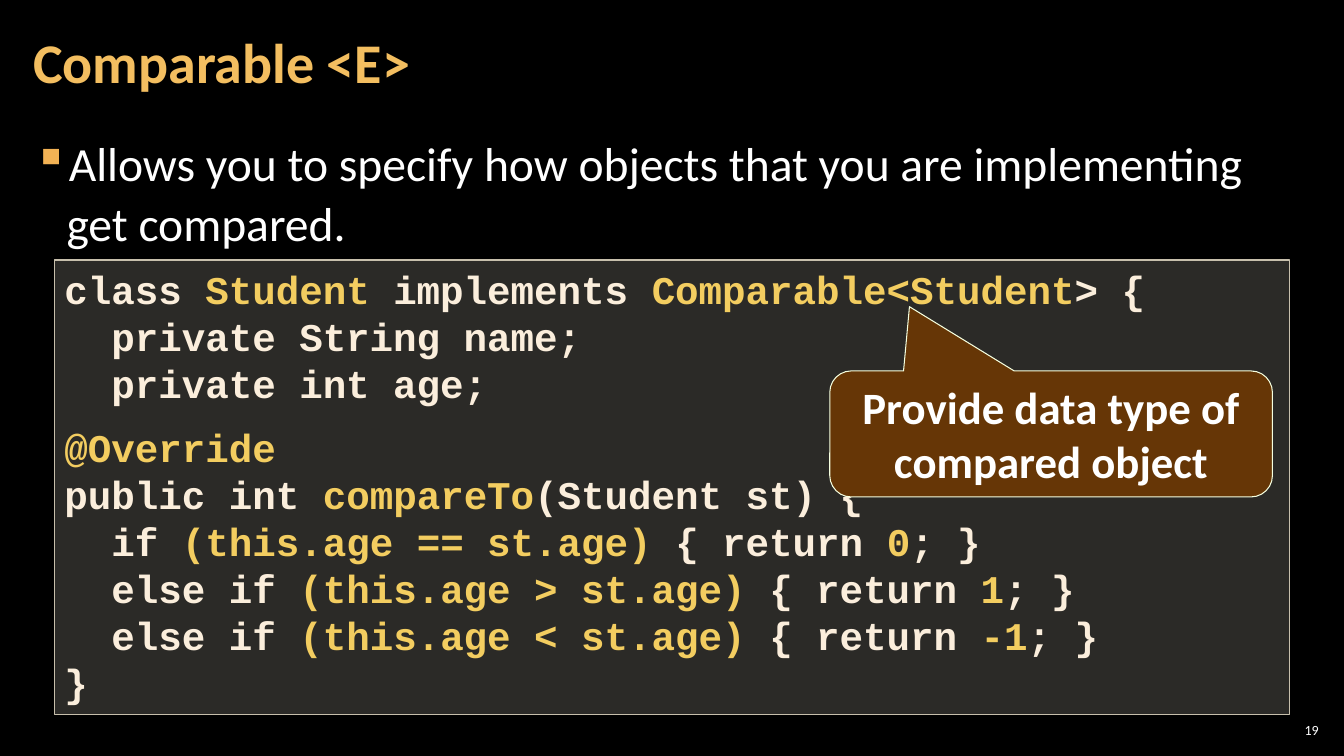
from lxml import etree
from pptx import Presentation
from pptx.dml.color import RGBColor
from pptx.enum.shapes import MSO_SHAPE as Shape
from pptx.enum.text import MSO_ANCHOR as Anchor, PP_ALIGN as Align
from pptx.oxml.ns import qn
from pptx.util import Inches, Pt

TITLE = "Comparable <E>"
POINT = "Allows you to specify how objects that you are implementing get compared."
NOTE = "Provide data type of compared object"
PAGE = "19"
# Each "|" switches between plain and gold text.
CODE = [
    "class |Student| implements |Comparable<Student|> {",
    "  private String name;",
    "  private int age;",
    "|@Override",
    "public int |compareTo|(Student st) {",
    "  if |(this.age == st.age) |{ return |0|; }",
    "  else if |(this.age > st.age) |{ return |1|; }",
    "  else if |(this.age < st.age) |{ return |-1|; }",
    "}",
]
GAP_LINE = 3

WHITE, CREAM, GOLD = "FFFFFF", "FBEEDC", "F3CD60"
PAD = (0.12, 0.04)
BOXES = {
    "title": (0.21, 0.04, 10.47, 1.21),
    "point": (0.21, 1.26, 12.91, 6.09),
    "page": (12.65, 7.14, 0.47, 0.21),
    "code": (0.54, 2.58, 12.25, 4.51),
    "note": (8.23, 3.68, 4.39, 1.25),
}


def rgb(code):
    return RGBColor.from_string(code)


def apply(item, **values):
    for name, value in values.items():
        setattr(item, name, value)


def write(para, text, color, size, font="Calibri", bold=False):
    run = para.add_run()
    run.text = text
    apply(run.font, name=font, size=Pt(size), bold=bold)
    run.font.color.rgb = rgb(color)


def frame(shape, pad, anchor=Anchor.TOP):
    """Set up wrapping, margins and anchor; return the first paragraph."""
    x, y = map(Inches, pad)
    apply(shape.text_frame, word_wrap=True, vertical_anchor=anchor,
          margin_left=x, margin_right=x, margin_top=y, margin_bottom=y)
    return shape.text_frame.paragraphs[0]


def panel(kind, box, fill, line, width):
    shape = slide.shapes.add_shape(kind, *map(Inches, box))
    shape.shadow.inherit = False
    shape.fill.solid()
    shape.fill.fore_color.rgb = rgb(fill)
    shape.line.color.rgb = rgb(line)
    shape.line.width = Pt(width)
    return shape


def label(box, pad, anchor=Anchor.TOP):
    return frame(slide.shapes.add_textbox(*map(Inches, box)), pad, anchor)


def bullet(para, char, color, indent):
    props = para._p.get_or_add_pPr()
    props.set("marL", str(Inches(indent)))
    props.set("indent", str(-Inches(indent)))
    tint = etree.SubElement(props, qn("a:buClr"))
    etree.SubElement(tint, qn("a:srgbClr"), val=color)
    etree.SubElement(props, qn("a:buChar"), char=char)


deck = Presentation()
apply(deck, slide_width=Inches(13.33), slide_height=Inches(7.5))
slide = deck.slides.add_slide(deck.slide_layouts[6])
slide.background.fill.solid()
slide.background.fill.fore_color.rgb = rgb("000000")

para = label(BOXES["page"], (0.04, 0.04), Anchor.MIDDLE)
para.alignment = Align.RIGHT
write(para, PAGE, WHITE, 10)

para = label(BOXES["point"], PAD)
apply(para, line_spacing=1.05, space_before=Pt(6), space_after=Pt(6))
bullet(para, "▪", "F2B254", 0.33)
write(para, POINT, WHITE, 34)

para = label(BOXES["title"], PAD, Anchor.MIDDLE)
para.line_spacing = 0.9
write(para, TITLE, "F3BE60", 40, bold=True)

code = panel(Shape.RECTANGLE, BOXES["code"], "D9D5C7", "C7BFAC", 1)
tint = code._element.spPr.find(qn("a:solidFill"))[0]
etree.SubElement(tint, qn("a:alpha"), val="20000")
para = frame(code, (0.1, 0.05))
for row, text in enumerate(CODE):
    if row:
        para = code.text_frame.add_paragraph()
    para.alignment = Align.LEFT
    if row == GAP_LINE:
        para.space_before = Pt(12)
    for part, piece in enumerate(text.split("|")):
        if piece:
            write(para, piece, GOLD if part % 2 else CREAM, 28, "Courier New", True)

note = panel(Shape.ROUNDED_RECTANGULAR_CALLOUT, BOXES["note"], "663606", "F5FFE0", 0.75)
for i, value in enumerate((-0.32, -1.01, 0.17)):
    note.adjustments[i] = value
para = frame(note, (0.1, 0.05), Anchor.MIDDLE)
para.alignment = Align.CENTER
write(para, NOTE, WHITE, 32, bold=True)

deck.save("out.pptx")
